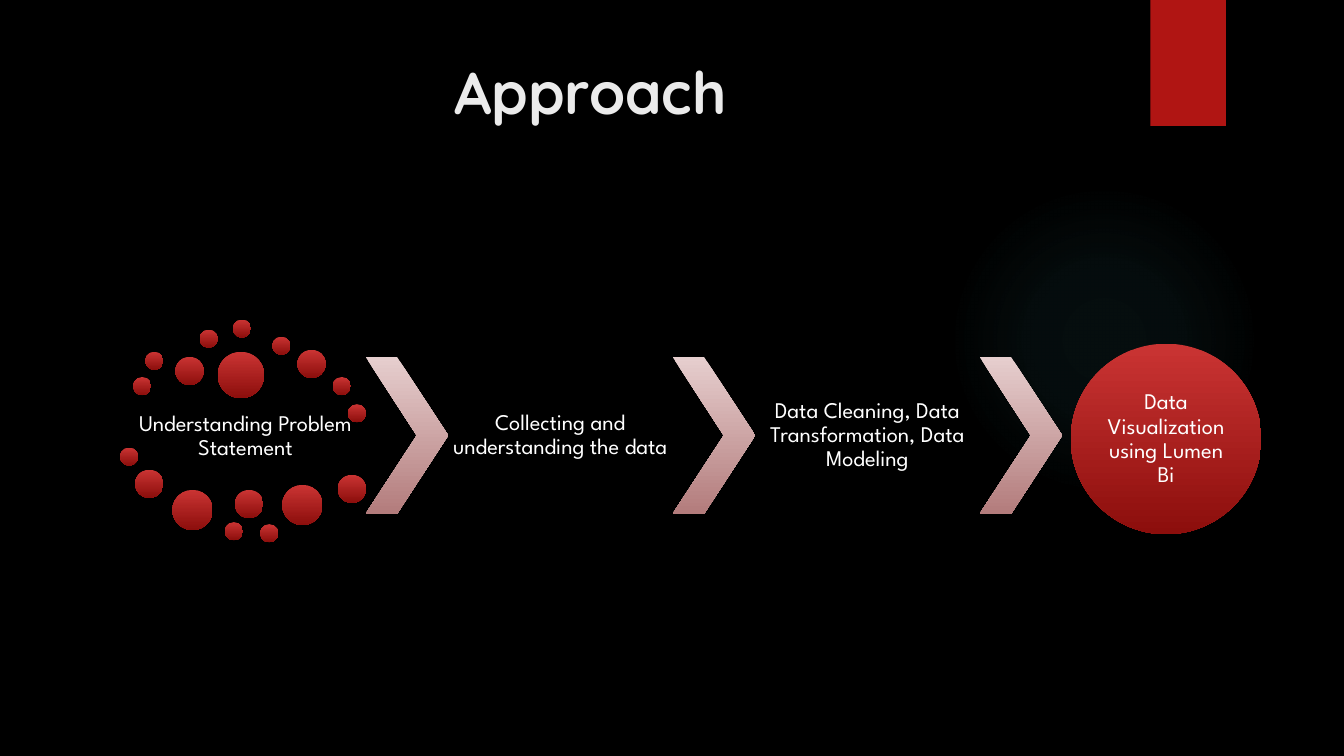
from dataclasses import dataclass

from lxml.etree import fromstring
from pptx import Presentation
from pptx.dml.color import RGBColor
from pptx.enum.shapes import MSO_SHAPE as Shape
from pptx.enum.text import MSO_ANCHOR as Anchor, PP_ALIGN as Align
from pptx.oxml.ns import nsdecls, qn
from pptx.util import Inches, Pt


@dataclass(frozen=True)
class Theme:
    background: str = "000000"
    accent: str = "B01513"
    glow: str = "4CB9C3"
    title: str = "EBEBEB"
    body: str = "FFFFFF"
    red: tuple = ("CA3433", "8C0E0C")
    rose: tuple = ("E6CECE", "B37C7C")
    title_font: str = "Quicksand"
    body_font: str = "League Spartan"
    title_size: int = 42
    body_size: int = 16


class SlideBuilder:
    CELL = Inches(0.1)

    def __init__(self, page, theme):
        self.page = page
        self.theme = theme
        background = page.background.fill
        background.solid()
        background.fore_color.rgb = RGBColor.from_string(theme.background)

    def grid(self, *cells):
        return [round(cell * self.CELL) for cell in cells]

    def shape(self, kind, left, top, width, height):
        shape = self.page.shapes.add_shape(kind, *self.grid(left, top, width, height))
        shape.shadow.inherit = False
        shape.line.fill.background()
        return shape

    def gradient(self, kind, left, top, width, height, colors):
        shape = self.shape(kind, left, top, width, height)
        shape.fill.gradient()
        shape.fill.gradient_angle = 270
        for stop, color in zip(shape.fill.gradient_stops, colors):
            stop.color.rgb = RGBColor.from_string(color)
        return shape

    def dot(self, left, top, size):
        return self.gradient(Shape.OVAL, left, top, size, size, self.theme.red)

    def chevron(self, left, top, width, height):
        shape = self.gradient(Shape.CHEVRON, left, top, width, height, self.theme.rose)
        shape.adjustments[0] = 0.62

    def ribbon(self, left, top, width, height):
        shape = self.shape(Shape.RECTANGLE, left, top, width, height)
        shape.fill.solid()
        shape.fill.fore_color.rgb = RGBColor.from_string(self.theme.accent)

    def glow(self, left, top, size):
        shape = self.shape(Shape.OVAL, left, top, size, size)
        shape.fill.background()
        stops = "".join(
            f'<a:gs pos="{position * 1000}"><a:srgbClr val="{self.theme.glow}">'
            f'<a:alpha val="{alpha * 1000}"/></a:srgbClr></a:gs>'
            for position, alpha in ((0, 7), (36, 6), (69, 0), (100, 0))
        )
        fill = fromstring(
            f'<a:gradFill {nsdecls("a")}><a:gsLst>{stops}</a:gsLst><a:path path="circle">'
            '<a:fillToRect l="50000" t="50000" r="50000" b="50000"/></a:path></a:gradFill>'
        )
        properties = shape.element.spPr
        properties.replace(properties.find(qn("a:noFill")), fill)

    def set_text(self, shape, text, font, size, color, bold=False, spacing=None,
                 anchor=Anchor.MIDDLE, inset=(0.0, 0.0)):
        frame = shape.text_frame
        frame.word_wrap = True
        frame.vertical_anchor = anchor
        frame.margin_left = frame.margin_right = Inches(inset[0])
        frame.margin_top = frame.margin_bottom = Inches(inset[1])
        frame.text = text
        para = frame.paragraphs[0]
        para.alignment = Align.CENTER
        para.line_spacing = spacing
        span = para.runs[0]
        span.font.name = font
        span.font.size = Pt(size)
        span.font.bold = bold
        span.font.color.rgb = RGBColor.from_string(color)

    def title(self, text, left, top, width, height):
        box = self.page.shapes.add_textbox(*self.grid(left, top, width, height))
        self.set_text(box, text, self.theme.title_font, self.theme.title_size,
                      self.theme.title, bold=True, anchor=Anchor.TOP, inset=(0.1, 0.05))

    def body(self, shape, text, inset=0.0):
        self.set_text(shape, text, self.theme.body_font, self.theme.body_size,
                      self.theme.body, spacing=0.9, inset=(inset, inset))

    def label(self, text, left, top, width, height):
        box = self.page.shapes.add_textbox(*self.grid(left, top, width, height))
        self.body(box, text, inset=0.02)


SMALL, MEDIUM, LARGE, LARGEST = 1.8, 2.8, 4, 4.6
DOTS = {
    SMALL: [(13.2, 37.4), (14.4, 34.9), (19.8, 32.7), (23.1, 31.7), (27, 33.4),
            (33, 37.4), (34.5, 40.1), (11.9, 44.4), (22.3, 51.8), (25.8, 52)],
    MEDIUM: [(17.4, 35.4), (29.5, 34.7), (13.4, 46.6), (23.3, 48.6), (33.5, 47.1)],
    LARGE: [(17.1, 48.6), (28, 48.1)],
    LARGEST: [(21.6, 34.9)],
}
STEPS = [
    "Collecting and understanding the data",
    "Data Cleaning, Data Transformation, Data Modeling",
]
FLOW_LEFT, FLOW_TOP, FLOW_HEIGHT = 36.25, 35.4, 15.6
ARROW_WIDTH, STEP_WIDTH = 8.2, 22.25


def main():
    deck = Presentation()
    deck.slide_width, deck.slide_height = Inches(13.33), Inches(7.5)
    page = deck.slides.add_slide(deck.slide_layouts[6])
    builder = SlideBuilder(page, Theme())

    builder.glow(94.1, 18.3, 30.8)
    builder.ribbon(114.1, 0, 7.5, 12.5)
    builder.title("Approach", 7.1, 5, 102.9, 15.3)

    builder.label("Understanding Problem Statement", 13.2, 39.6, 22.3, 7.3)
    for size, places in DOTS.items():
        for left, top in places:
            builder.dot(left, top, size)

    for index in range(len(STEPS) + 1):
        left = FLOW_LEFT + index * (ARROW_WIDTH + STEP_WIDTH)
        builder.chevron(left, FLOW_TOP, ARROW_WIDTH, FLOW_HEIGHT)
        if index < len(STEPS):
            builder.label(STEPS[index], left + ARROW_WIDTH, FLOW_TOP, STEP_WIDTH, FLOW_HEIGHT)

    result = builder.dot(106.2, 34.1, 18.9)
    builder.body(result, "Data Visualization using Lumen Bi")

    deck.save("out.pptx")


if __name__ == "__main__":
    main()
